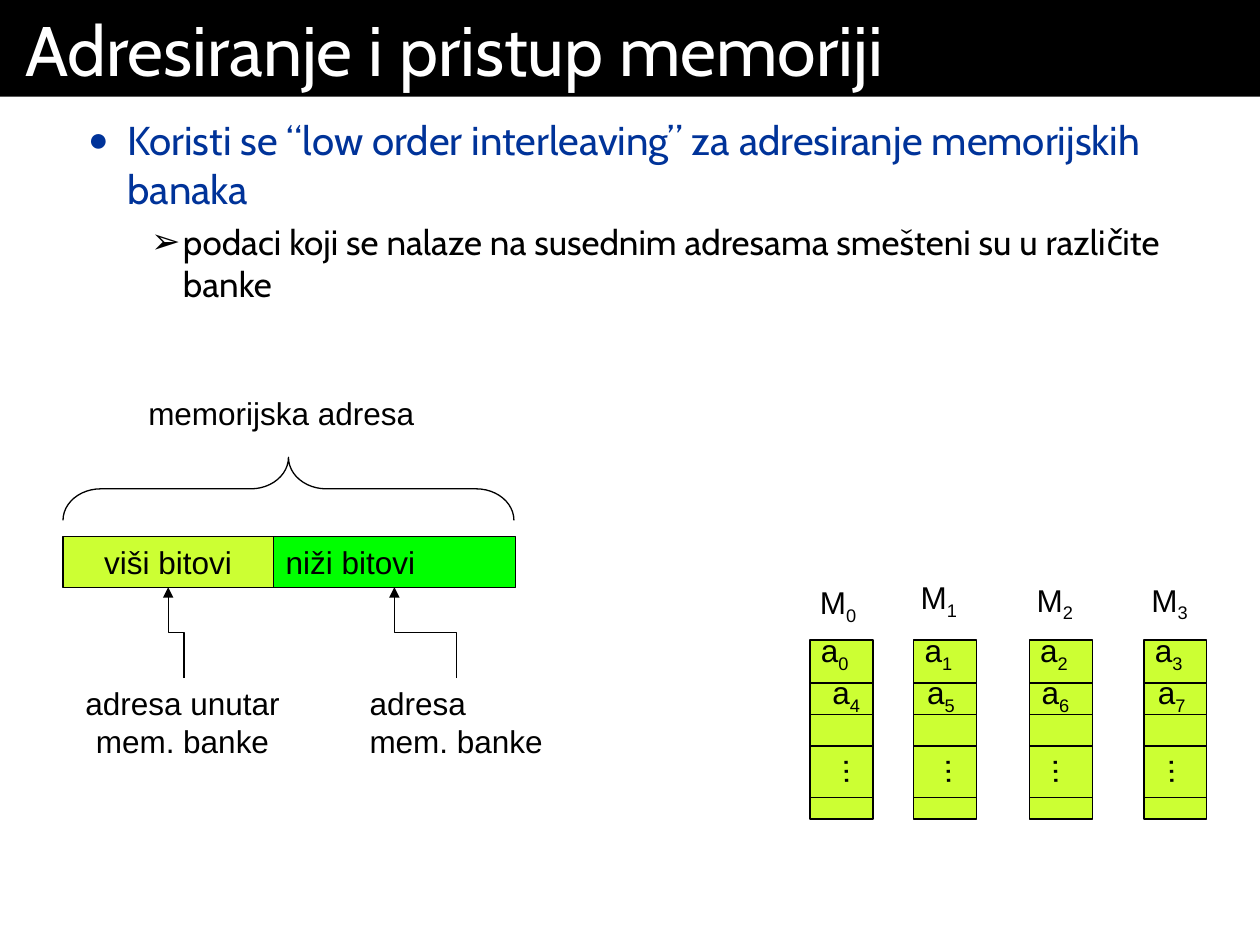
"""Build a slide on memory addressing with low-order interleaved banks."""
from dataclasses import dataclass

from lxml import etree
from pptx import Presentation
from pptx.dml.color import RGBColor
from pptx.enum.shapes import MSO_CONNECTOR, MSO_SHAPE
from pptx.enum.text import MSO_ANCHOR, PP_ALIGN
from pptx.oxml.ns import qn
from pptx.util import Cm, Pt

RECTANGLE, BRACE = MSO_SHAPE.RECTANGLE, MSO_SHAPE.LEFT_BRACE
STRAIGHT, ELBOW = MSO_CONNECTOR.STRAIGHT, MSO_CONNECTOR.ELBOW
TOP, MIDDLE, BOTTOM = MSO_ANCHOR.TOP, MSO_ANCHOR.MIDDLE, MSO_ANCHOR.BOTTOM
LEFT, CENTER = PP_ALIGN.LEFT, PP_ALIGN.CENTER


@dataclass(frozen=True)
class Theme:
    black: str = "000000"
    white: str = "FFFFFF"
    blue: str = "003399"
    lime: str = "CCFF33"
    green: str = "00FF00"
    heading_font: str = "Cabin"
    label_font: str = "Arial"
    title_size: float = 40
    point_size: float = 23
    subpoint_size: float = 20
    label_size: float = 18
    line_width: float = 0.75


THEME = Theme()


def style_font(font, name, size, color):
    font.name = name
    font.size = Pt(size)
    font.color.rgb = RGBColor.from_string(color)


def style_line(line):
    line.color.rgb = RGBColor.from_string(THEME.black)
    line.width = Pt(THEME.line_width)


def set_frame(frame, anchor, horizontal=0.25, vertical=0.13, wrap=True):
    frame.word_wrap = wrap
    frame.vertical_anchor = anchor
    frame.margin_left = frame.margin_right = Cm(horizontal)
    frame.margin_top = frame.margin_bottom = Cm(vertical)


def add_box(slide, left, top, width, height, fill):
    shape = slide.shapes.add_shape(RECTANGLE, Cm(left), Cm(top), Cm(width), Cm(height))
    shape.shadow.inherit = False
    shape.fill.solid()
    shape.fill.fore_color.rgb = RGBColor.from_string(fill)
    style_line(shape.line)
    return shape


def add_field(slide, left, width, fill, text, alignment):
    shape = add_box(slide, left, 10.82, width, 1.02, fill)
    set_frame(shape.text_frame, MIDDLE)
    paragraph = shape.text_frame.paragraphs[0]
    paragraph.text = text
    paragraph.alignment = alignment
    style_font(paragraph.font, THEME.label_font, THEME.label_size, THEME.black)


def add_label(slide, left, top, width, height, lines, alignment=LEFT, subscript=None):
    shape = slide.shapes.add_textbox(Cm(left), Cm(top), Cm(width), Cm(height))
    frame = shape.text_frame
    set_frame(frame, BOTTOM, wrap=False)
    for index, line in enumerate(lines):
        paragraph = frame.paragraphs[0] if index == 0 else frame.add_paragraph()
        paragraph.text = line
        paragraph.alignment = alignment
        if subscript is not None:
            run = paragraph.add_run()
            run.text = str(subscript)
            run.font._element.set("baseline", "-25000")
        style_font(paragraph.font, THEME.label_font, THEME.label_size, THEME.black)
    return shape


def add_line(slide, kind, begin_x, begin_y, end_x, end_y):
    points = (Cm(value) for value in (begin_x, begin_y, end_x, end_y))
    connector = slide.shapes.add_connector(kind, *points)
    style_line(connector.line)
    etree.SubElement(connector._element.spPr, qn("a:effectLst"))
    return connector


def add_upward_arrow(slide, begin_x, begin_y, end_x, end_y):
    """Draw an elbow that leaves and arrives vertically, by turning a sideways one."""
    middle_x, middle_y = (begin_x + end_x) / 2, (begin_y + end_y) / 2
    half_run, half_shift = (begin_y - end_y) / 2, (begin_x - end_x) / 2
    connector = add_line(slide, ELBOW, middle_x - half_run, middle_y + half_shift,
                         middle_x + half_run, middle_y - half_shift)
    connector._element.spPr.find(qn("a:xfrm")).set("rot", str(270 * 60000))
    line = connector._element.spPr.find(qn("a:ln"))
    etree.SubElement(line, qn("a:tailEnd"), type="triangle")


def add_brace(slide):
    shape = slide.shapes.add_shape(BRACE, Cm(5.18), Cm(5.31), Cm(1.27), Cm(9.09))
    shape.shadow.inherit = False
    shape.fill.background()
    style_line(shape.line)
    shape.adjustments[0] = 0.6
    shape.rotation = 90


def add_title(slide, text):
    shape = slide.shapes.add_textbox(0, 0, Cm(25.4), Cm(1.95))
    shape.fill.solid()
    shape.fill.fore_color.rgb = RGBColor.from_string(THEME.black)
    set_frame(shape.text_frame, TOP, horizontal=0.51)
    paragraph = shape.text_frame.paragraphs[0]
    paragraph.text = text
    style_font(paragraph.font, THEME.heading_font, THEME.title_size, THEME.white)


def set_bullet(paragraph, symbol, color, percent, margin, indent):
    properties = paragraph._p.get_or_add_pPr()
    properties.set("marL", str(Cm(margin)))
    properties.set("indent", str(Cm(indent)))
    bullet_color = etree.SubElement(properties, qn("a:buClr"))
    etree.SubElement(bullet_color, qn("a:srgbClr"), val=color)
    etree.SubElement(properties, qn("a:buSzPct"), val=str(percent * 1000))
    etree.SubElement(properties, qn("a:buFont"), typeface=THEME.label_font)
    etree.SubElement(properties, qn("a:buChar"), char=symbol)


def add_body(slide, point, subpoint):
    shape = slide.shapes.add_textbox(0, Cm(1.95), Cm(25.4), Cm(17.1))
    frame = shape.text_frame
    set_frame(frame, TOP, horizontal=0.51, vertical=0.38)
    first, second = frame.paragraphs[0], frame.add_paragraph()
    first.text, first.level = point, 1
    set_bullet(first, "●", THEME.blue, 85, 2.06, -0.79)
    style_font(first.font, THEME.heading_font, THEME.point_size, THEME.blue)
    second.text, second.level = subpoint, 2
    second.space_before = Pt(5)
    set_bullet(second, "➢", THEME.black, 100, 3.18, -0.64)
    style_font(second.font, THEME.heading_font, THEME.subpoint_size, THEME.black)


def add_bank(slide, number, left, name_left, name_top, second_left, dots_left):
    width = 1.27
    add_box(slide, left, 12.9, width, 3.61, THEME.lime)
    for height in (13.77, 14.4, 15.04, 16.08):
        add_line(slide, STRAIGHT, left, height, left + width, height)
    add_label(slide, name_left, name_top, 1.24, 1.12, ["M"], subscript=number)
    add_label(slide, left - 0.03, 12.6, 1.07, 1.12, ["a"], subscript=number)
    add_label(slide, second_left, 13.44, 1.07, 1.12, ["a"], subscript=number + 4)
    dots = add_label(slide, dots_left, 15.05, 1.04, 1.02, ["..."])
    dots.rotation = 88.3


def main():
    presentation = Presentation()
    presentation.slide_width, presentation.slide_height = Cm(25.4), Cm(19.05)
    slide = presentation.slides.add_slide(presentation.slide_layouts[6])
    add_body(slide,
             "Koristi se “low order interleaving” za adresiranje memorijskih banaka",
             "podaci koji se nalaze na susednim adresama smešteni su u različite banke")
    add_title(slide, "Adresiranje i pristup memoriji")

    add_label(slide, 2.74, 7.82, 5.87, 1.02, ["memorijska adresa"])
    add_brace(slide)
    add_field(slide, 1.27, 4.24, THEME.lime, "viši bitovi", CENTER)
    add_field(slide, 5.51, 4.88, THEME.green, "niži bitovi", LEFT)
    add_label(slide, 1.42, 13.67, 4.52, 1.78, ["adresa unutar", "mem. banke"], CENTER)
    add_label(slide, 7.2, 13.67, 4.2, 1.78, ["adresa", "mem. banke"])
    add_upward_arrow(slide, 3.71, 13.67, 3.39, 11.84)
    add_upward_arrow(slide, 9.2, 13.67, 7.95, 11.84)

    banks = (
        (16.33, 16.28, 11.63, 16.53, 16.76),
        (18.42, 18.31, 11.53, 18.44, 18.82),
        (20.75, 20.65, 11.58, 20.75, 20.98),
        (23.06, 22.96, 11.58, 23.09, 23.32),
    )
    for number, places in enumerate(banks):
        add_bank(slide, number, *places)
    presentation.save("out.pptx")


if __name__ == "__main__":
    main()
